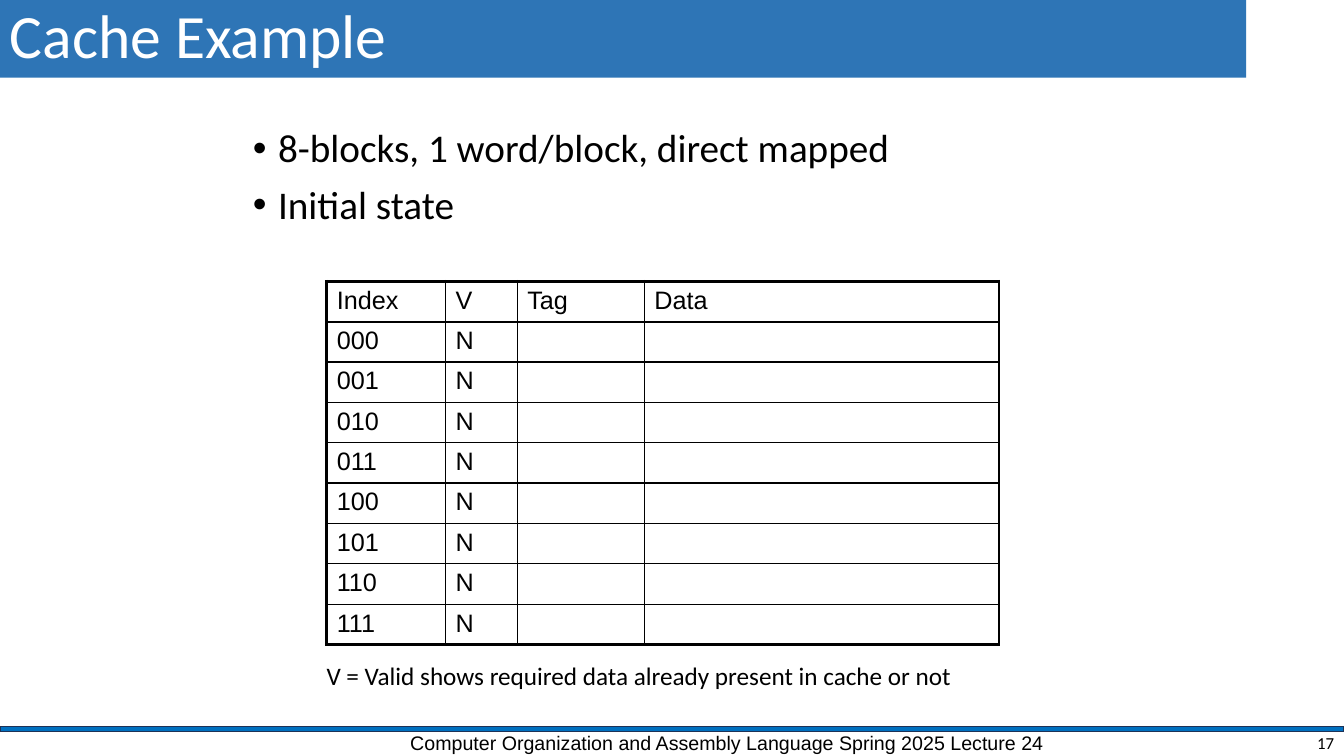
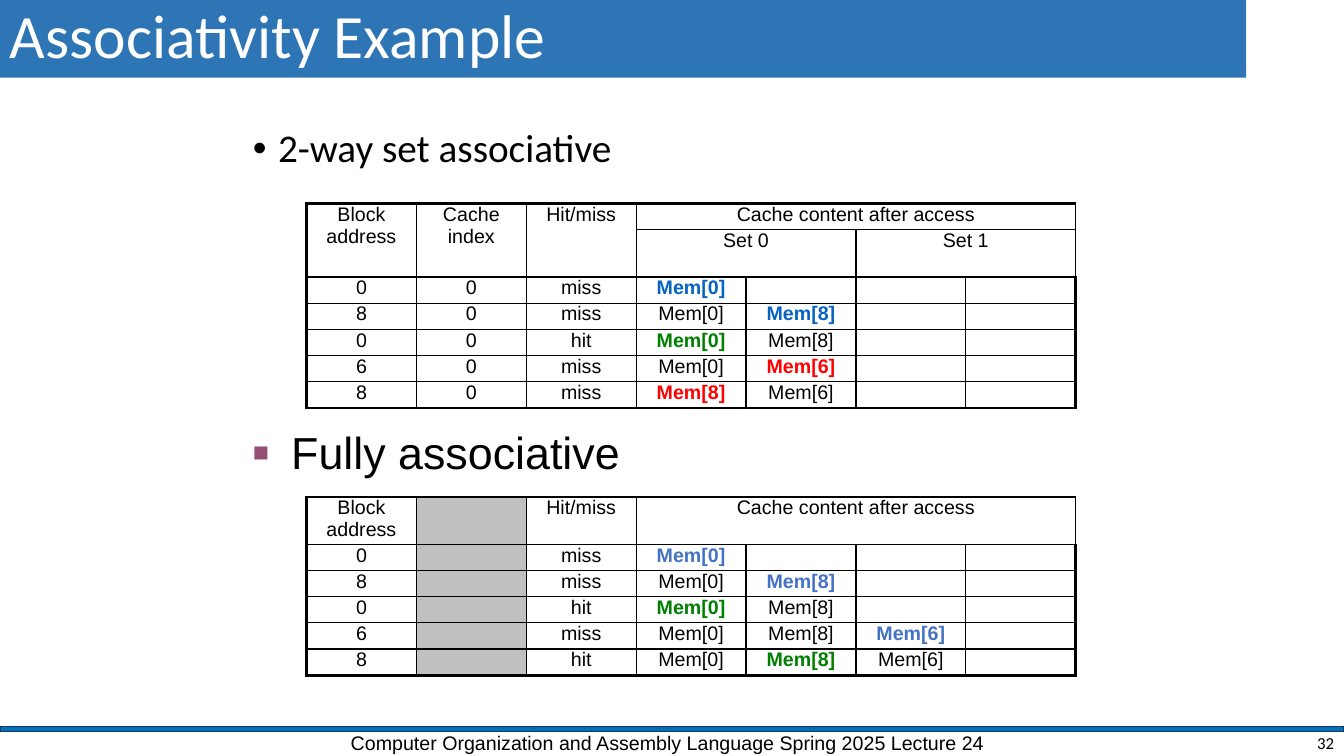
import lxml.etree
import pptx
import pptx.dml.color
import pptx.enum.shapes
import pptx.enum.text
import pptx.oxml.ns
import pptx.util

Inches = pptx.util.Inches
Pt = pptx.util.Pt
ALIGN = pptx.enum.text.PP_ALIGN
ANCHOR = pptx.enum.text.MSO_ANCHOR
RECTANGLE = pptx.enum.shapes.MSO_SHAPE.RECTANGLE

COLOURS = {
    "title": "2E75B6", "rule": "0070C0", "rule_edge": "1E3256",
    "ink": "000000", "paper": "FFFFFF", "unused": "C0C0C0", "bullet": "954F72",
    "set_fill": "0563C1", "full_fill": "4472C4", "hit": "008000", "evict": "FF0000",
}
SLIDE_WIDTH, SLIDE_HEIGHT = 13.33, 7.5
COURSE = "Computer Organization and Assembly Language Spring 2025 Lecture 24"
OUTER, HEADER, INNER = 2.25, 1.5, 1


def rgb(name):
    """Return the named colour."""
    return pptx.dml.color.RGBColor.from_string(COLOURS[name])


def add_xml(parent, tag, **attributes):
    """Append a drawing element to its parent."""
    return lxml.etree.SubElement(parent, pptx.oxml.ns.qn("a:" + tag), **attributes)


def add_run(paragraph, text, size, font, colour="ink", bold=False):
    """Append one formatted run."""
    run = paragraph.add_run()
    run.text = text
    run.font.size = Pt(size)
    run.font.name = font
    run.font.bold = bold
    run.font.color.rgb = rgb(colour)


def add_block(slide, box, fill, edge=None):
    """Draw a flat rectangle."""
    block = slide.shapes.add_shape(RECTANGLE, *map(Inches, box))
    block.shadow.inherit = False
    block.fill.solid()
    block.fill.fore_color.rgb = rgb(fill)
    if edge:
        block.line.color.rgb = rgb(edge)
        block.line.width = Pt(1)
    else:
        block.line.fill.background()
    return block


def add_line_of_text(slide, box, text, size, font, align=ALIGN.LEFT,
                     anchor=ANCHOR.TOP, wrap=True):
    """Place a text box with a single run."""
    frame = slide.shapes.add_textbox(*map(Inches, box)).text_frame
    frame.word_wrap = wrap
    frame.vertical_anchor = anchor
    frame.paragraphs[0].alignment = align
    add_run(frame.paragraphs[0], text, size, font)


def add_bullets(slide, box, items, size=28, font="Calibri", indent=0.25,
                space=10, mark="•", mark_colour="ink", mark_percent=100):
    """Place a bulleted list."""
    frame = slide.shapes.add_textbox(*map(Inches, box)).text_frame
    frame.word_wrap = True
    for number, item in enumerate(items):
        paragraph = frame.add_paragraph() if number else frame.paragraphs[0]
        paragraph.line_spacing = 0.9
        paragraph.space_before = Pt(space)
        add_run(paragraph, item, size, font)
        properties = paragraph._p.get_or_add_pPr()
        properties.set("marL", str(Inches(indent)))
        properties.set("indent", str(-Inches(indent)))
        add_xml(add_xml(properties, "buClr"), "srgbClr", val=COLOURS[mark_colour])
        add_xml(properties, "buSzPct", val=str(mark_percent * 1000))
        add_xml(properties, "buFont", typeface="Arial")
        add_xml(properties, "buChar", char=mark)


def set_borders(cell, widths):
    """Draw the left, right, top and bottom borders of a cell."""
    properties = cell._tc.get_or_add_tcPr()
    for side, width in zip("LRTB", widths):
        border = add_xml(properties, "ln" + side, w=str(Pt(width)))
        add_xml(add_xml(border, "solidFill"), "srgbClr", val=COLOURS["ink"])


def add_grid(slide, left, top, columns, heights, rows, size, padding,
             align=ALIGN.LEFT, header=INNER, merges=(), marks=None, unused=None):
    """Place a ruled table with a heavy frame and marked cells."""
    marks = marks or {}
    box = (left, top, sum(columns), sum(heights))
    grid = slide.shapes.add_table(len(rows), len(columns), *map(Inches, box)).table
    grid.first_row = grid.horz_banding = False
    for column, width in zip(grid.columns, columns):
        column.width = Inches(width)
    for row, height in zip(grid.rows, heights):
        row.height = Inches(height)
    across = [OUTER] + [INNER] * (len(columns) - 1) + [OUTER]
    down = [OUTER, header] + [INNER] * (len(rows) - 2) + [OUTER]
    for r, texts in enumerate(rows):
        for c, text in enumerate(texts):
            cell = grid.cell(r, c)
            cell.margin_left = cell.margin_right = Inches(0.1)
            cell.margin_top = cell.margin_bottom = Inches(padding)
            set_borders(cell, (across[c], across[c + 1], down[r], down[r + 1]))
            if c == unused:
                cell.fill.solid()
                cell.fill.fore_color.rgb = rgb("unused")
            else:
                cell.fill.background()
            paragraph = cell.text_frame.paragraphs[0]
            paragraph.alignment = align
            if text:
                mark = marks.get((r, c))
                add_run(paragraph, text, size, "Arial", mark or "ink", bool(mark))
            else:
                add_xml(paragraph._p, "endParaRPr", sz=str(size * 100))
    for first, last in merges:
        grid.cell(*first).merge(grid.cell(*last))


def add_access_grid(slide, top, heights, rows, **options):
    """Place a table of cache accesses."""
    add_grid(slide, 3.04, top, [1.09] * 7, heights, rows, 14, 0,
             align=ALIGN.CENTER, **options)


def add_lecture_slide(deck, title, number, footer_left):
    """Add a slide with the title band, the bottom rule and the footer."""
    slide = deck.slides.add_slide(deck.slide_layouts[6])
    add_block(slide, (0, 7.21, SLIDE_WIDTH, 0.05), "rule", "rule_edge")
    add_line_of_text(slide, (footer_left, 7.2, 6.87, 0.31), COURSE, 14, "Arial")
    band = add_block(slide, (0, 0, 12.36, 0.77), "title")
    band.text_frame.vertical_anchor = ANCHOR.MIDDLE
    heading = band.text_frame.paragraphs[0]
    heading.alignment = ALIGN.LEFT
    heading.line_spacing = 0.9
    add_run(heading, title, 44, "Calibri", "paper")
    add_line_of_text(slide, (10.33, 7.24, 3, 0.25), str(number), 12, "Calibri",
                     ALIGN.RIGHT, ANCHOR.MIDDLE)
    return slide


def build_cache_slide(deck):
    """Show the empty direct mapped cache."""
    slide = add_lecture_slide(deck, "Cache Example", 17, 3.97)
    add_bullets(slide, (2.41, 1.23, 9.05, 1.46),
                ["8-blocks, 1 word/block, direct mapped", "Initial state"])
    rows = [["Index", "V", "Tag", "Data"]]
    rows += [[f"{index:03b}", "N", "", ""] for index in range(8)]
    add_grid(slide, 3.24, 2.79, [1.18, 0.71, 1.26, 3.52], [0.4] * 9, rows,
             18, 0.05, header=HEADER)
    add_line_of_text(slide, (3.14, 6.5, 6.48, 0.4),
                     "V = Valid shows required data already present in cache or not",
                     18, "Calibri", wrap=False)


def build_associativity_slide(deck):
    """Compare two-way and fully associative caches."""
    slide = add_lecture_slide(deck, "Associativity Example", 32, 3.38)
    add_bullets(slide, (2.41, 1.23, 9.05, 0.79), ["2-way set associative"])
    two_way = [
        ["Block address", "Cache index", "Hit/miss", "Cache content after access", "", "", ""],
        ["", "", "", "Set 0", "", "Set 1", ""],
        ["0", "0", "miss", "Mem[0]", "", "", ""],
        ["8", "0", "miss", "Mem[0]", "Mem[8]", "", ""],
        ["0", "0", "hit", "Mem[0]", "Mem[8]", "", ""],
        ["6", "0", "miss", "Mem[0]", "Mem[6]", "", ""],
        ["8", "0", "miss", "Mem[8]", "Mem[6]", "", ""],
    ]
    merges = [((0, c), (1, c)) for c in range(3)]
    merges += [((0, 3), (0, 6)), ((1, 3), (1, 4)), ((1, 5), (1, 6))]
    add_access_grid(slide, 2.02, [0.26, 0.43] + [0.26] * 5, two_way, merges=merges,
                    marks={(2, 3): "set_fill", (3, 4): "set_fill", (4, 3): "hit",
                           (5, 4): "evict", (6, 3): "evict"})
    add_bullets(slide, (2.41, 4.22, 8.5, 0.63), ["Fully associative"], 32, "Arial",
                0.38, 6.4, "■", "bullet", 60)
    fully = [
        ["Block address", "", "Hit/miss", "Cache content after access", "", "", ""],
        ["0", "", "miss", "Mem[0]", "", "", ""],
        ["8", "", "miss", "Mem[0]", "Mem[8]", "", ""],
        ["0", "", "hit", "Mem[0]", "Mem[8]", "", ""],
        ["6", "", "miss", "Mem[0]", "Mem[8]", "Mem[6]", ""],
        ["8", "", "hit", "Mem[0]", "Mem[8]", "Mem[6]", ""],
    ]
    add_access_grid(slide, 4.93, [0.47] + [0.26] * 5, fully, unused=1,
                    merges=[((0, 3), (0, 6))],
                    marks={(1, 3): "full_fill", (2, 4): "full_fill", (3, 3): "hit",
                           (4, 5): "full_fill", (5, 4): "hit"})


def main():
    """Build and save the deck."""
    deck = pptx.Presentation()
    deck.slide_width = Inches(SLIDE_WIDTH)
    deck.slide_height = Inches(SLIDE_HEIGHT)
    build_cache_slide(deck)
    build_associativity_slide(deck)
    deck.save("out.pptx")


if __name__ == "__main__":
    main()
